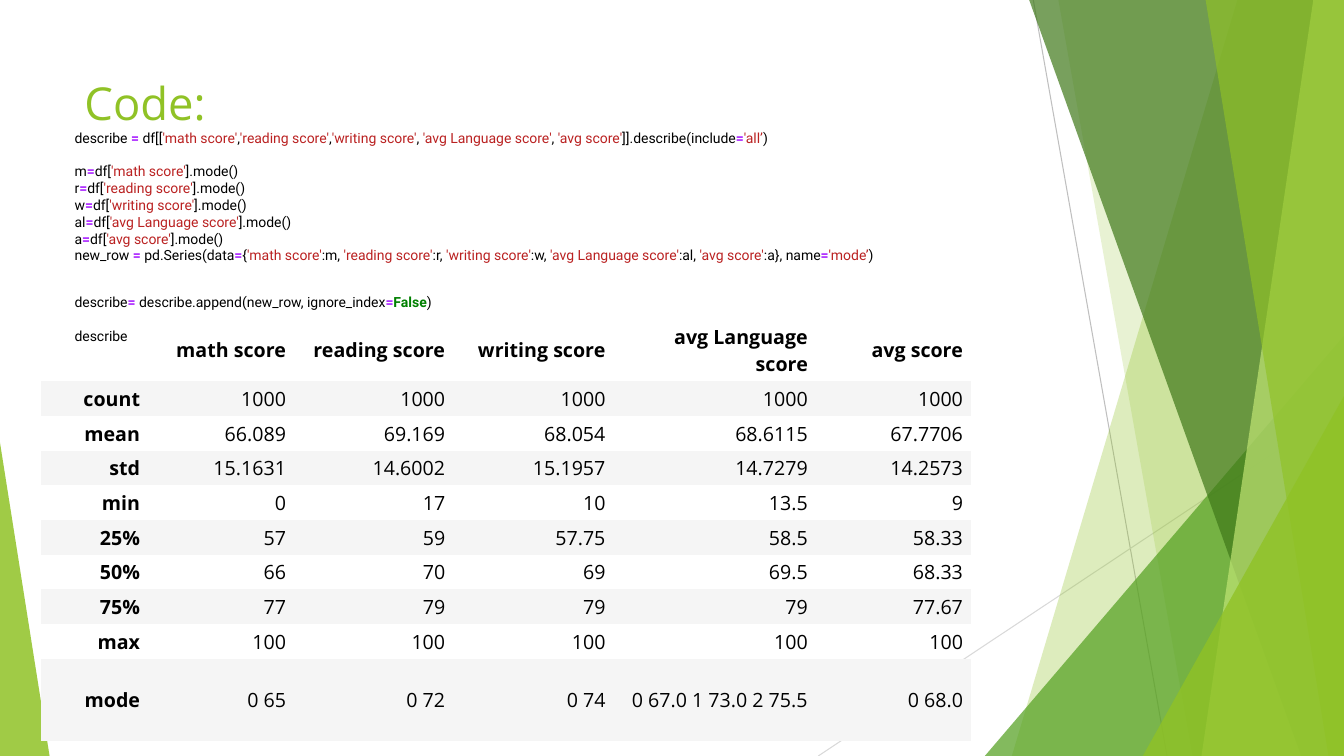
from dataclasses import dataclass

from lxml.etree import SubElement
from pptx import Presentation
from pptx.dml.color import RGBColor as RGB
from pptx.enum.shapes import MSO_CONNECTOR as Connector, MSO_SHAPE as Shape
from pptx.enum.text import MSO_ANCHOR as Anchor, PP_ALIGN as Align
from pptx.oxml.ns import qn
from pptx.util import Cm, Pt

WIDTH, HEIGHT, BLEED = 33.87, 19.05, 0.02


@dataclass(frozen=True)
class Theme:
    accent: str = "90C226"
    lime: str = "C0E474"
    leaf: str = "54A021"
    forest: str = "3F7819"
    rule: str = "BFBFBF"
    pale_rule: str = "D9D9D9"
    stripe: str = "F5F5F5"
    ink: str = "000000"
    operator: str = "AA22FF"
    string: str = "BA2121"
    keyword: str = "008000"
    text_font: str = "Open Sans"
    code_font: str = "Roboto"
    title_size: float = 32.4
    table_size: float = 14
    code_size: float = 10


@dataclass(frozen=True)
class Line:
    x1: float
    y1: float
    x2: float
    y2: float
    color: str


@dataclass(frozen=True)
class Band:
    """Runs the full height and reaches the right edge of the slide."""
    top_x: float
    bottom_x: float
    color: str
    alpha: int


@dataclass(frozen=True)
class Triangle:
    """Stands on the bottom edge of the slide."""
    x: float
    y: float
    width: float
    apex: float
    color: str
    alpha: int


@dataclass(frozen=True)
class CodeLine:
    """Tokens are separated by a bar; gap is the space after, in points."""
    code: str
    gap: float = 0


T = Theme()

LINES = [
    Line(26.04, 0, 29.41, HEIGHT, T.rule),
    Line(WIDTH, 10.24, 20.62, HEIGHT, T.pale_rule),
]
FACETS = [
    Band(31.19, 25.5, T.accent, 30),
    Band(26.67, 30.05, T.accent, 20),
    Triangle(24.82, 8.46, 9.05, 1, T.leaf, 72),
    Band(25.93, 32.79, T.forest, 70),
    Band(33.1, 30.28, T.lime, 70),
    Band(30.38, 33.48, T.accent, 65),
    Triangle(28.8, 9.98, 5.07, 1, T.accent, 80),
    Triangle(0, 11.15, 1.25, 0, T.accent, 85),
]

SCORES = {"m": "math score", "r": "reading score", "w": "writing score",
          "al": "avg Language score", "a": "avg score"}
COLUMN_WIDTHS = [2.69, 3.68, 4.01, 4.04, 5.1, 3.91]
STATS = [
    ["", *SCORES.values()],
    ["count"] + ["1000"] * 5,
    ["mean", "66.089", "69.169", "68.054", "68.6115", "67.7706"],
    ["std", "15.1631", "14.6002", "15.1957", "14.7279", "14.2573"],
    ["min", "0", "17", "10", "13.5", "9"],
    ["25%", "57", "59", "57.75", "58.5", "58.33"],
    ["50%", "66", "70", "69", "69.5", "68.33"],
    ["75%", "77", "79", "79", "79", "77.67"],
    ["max"] + ["100"] * 5,
    ["mode", "0 65", "0 72", "0 74", "0 67.0 1 73.0 2 75.5", "0 68.0"],
]
ROW_HEIGHTS = [1.58] + [0.64] * 8 + [2.06]

CODE = [
    CodeLine("describe |=| df[[|'math score'|,|'reading score'|,|'writing score'|, "
             "|'avg Language score'|, |'avg score'|]].describe(include|=|'all’|)", 12),
    *[CodeLine(f"{name}|=|df[|'{score}'|].mode()") for name, score in SCORES.items()],
    CodeLine("new_row |= |pd.Series(data|=|{|"
             + ", |".join(f"'{score}'|:{name}" for name, score in SCORES.items())
             + "}, name|=|'mode’|)", 21.5),
    CodeLine("describe|= |describe.append(new_row, ignore_index|=|False|)", 12),
    CodeLine("describe"),
]


def add_run(p, text: str, font: str, size: float, color: str, bold: bool = False) -> None:
    r = p.add_run()
    r.text = text
    r.font.name, r.font.size, r.font.bold = font, Pt(size), bold
    r.font.color.rgb = RGB.from_string(color)


def add_text_frame(s, x: float, y: float, width: float, height: float, anchor: Anchor):
    tf = s.shapes.add_textbox(Cm(x), Cm(y), Cm(width), Cm(height)).text_frame
    tf.word_wrap, tf.vertical_anchor = True, anchor
    return tf


def draw_line(s, line: Line) -> None:
    c = s.shapes.add_connector(Connector.STRAIGHT, Cm(line.x1), Cm(line.y1),
                               Cm(line.x2), Cm(line.y2))
    c.line.color.rgb, c.line.width = RGB.from_string(line.color), Pt(0.75)
    SubElement(c._element.spPr, qn("a:effectLst"))


def draw_facet(s, facet: Band | Triangle) -> None:
    if isinstance(facet, Band):
        fb = s.shapes.build_freeform(Cm(facet.top_x), Cm(-BLEED))
        corners = [(WIDTH, -BLEED), (WIDTH, HEIGHT), (facet.bottom_x, HEIGHT)]
        fb.add_line_segments([(Cm(x), Cm(y)) for x, y in corners], close=True)
        sp = fb.convert_to_shape()
    else:
        sp = s.shapes.add_shape(Shape.ISOSCELES_TRIANGLE, Cm(facet.x), Cm(facet.y),
                                Cm(facet.width), Cm(HEIGHT - facet.y))
        sp.adjustments[0] = facet.apex
    sp.shadow.inherit = False
    sp.line.fill.background()
    sp.fill.solid()
    sp.fill.fore_color.rgb = RGB.from_string(facet.color)
    color = sp._element.spPr.find(qn("a:solidFill"))[0]
    SubElement(color, qn("a:alpha"), val=str(facet.alpha * 1000))


def draw_stats(s) -> None:
    frame = s.shapes.add_table(len(STATS), len(COLUMN_WIDTHS), Cm(1.04), Cm(8.03),
                               Cm(sum(COLUMN_WIDTHS)), Cm(sum(ROW_HEIGHTS)))
    table = frame.table
    # Plain table style without grid lines
    style = next(frame._element.iter(qn("a:tableStyleId")))
    style.text = "{2D5ABB26-0587-4C30-8999-92F81FD0307C}"
    for column, width in zip(table.columns, COLUMN_WIDTHS):
        column.width = Cm(width)
    for i, (row, height) in enumerate(zip(STATS, ROW_HEIGHTS)):
        table.rows[i].height = Cm(height)
        for j, text in enumerate(row):
            cell = table.cell(i, j)
            cell.vertical_anchor = Anchor.MIDDLE
            cell.margin_left = cell.margin_right = Cm(0.2)
            cell.margin_top = cell.margin_bottom = Cm(0.1)
            if i % 2:
                cell.fill.solid()
                cell.fill.fore_color.rgb = RGB.from_string(T.stripe)
            else:
                cell.fill.background()
            if text:
                p = cell.text_frame.paragraphs[0]
                p.alignment = Align.RIGHT
                add_run(p, text, T.text_font, T.table_size, T.ink, i == 0 or j == 0)


def token_style(token: str) -> tuple[str, bool]:
    if token.startswith("'"):
        return T.string, False
    if token.startswith("="):
        return T.operator, True
    return (T.keyword, True) if token == "False" else (T.ink, False)


def draw_code(s) -> None:
    tf = add_text_frame(s, 1.88, 3.4, 24.33, 5.89, Anchor.MIDDLE)
    tf.margin_left = tf.margin_right = tf.margin_top = 0
    tf.margin_bottom = Cm(0.76)
    for i, line in enumerate(CODE):
        p = tf.add_paragraph() if i else tf.paragraphs[0]
        p.space_after = Pt(line.gap)
        for token in line.code.split("|"):
            add_run(p, token, T.code_font, T.code_size, *token_style(token))


prs = Presentation()
prs.slide_width, prs.slide_height = Cm(WIDTH), Cm(HEIGHT)
s = prs.slides.add_slide(prs.slide_layouts[6])

# Background facets
for line in LINES:
    draw_line(s, line)
for facet in FACETS:
    draw_facet(s, facet)

# Statistics, code and title
draw_stats(s)
draw_code(s)
title = add_text_frame(s, 1.88, 1.7, 23.88, 1.7, Anchor.BOTTOM)
add_run(title.paragraphs[0], "Code:", T.text_font, T.title_size, T.accent)

prs.save("out.pptx")
